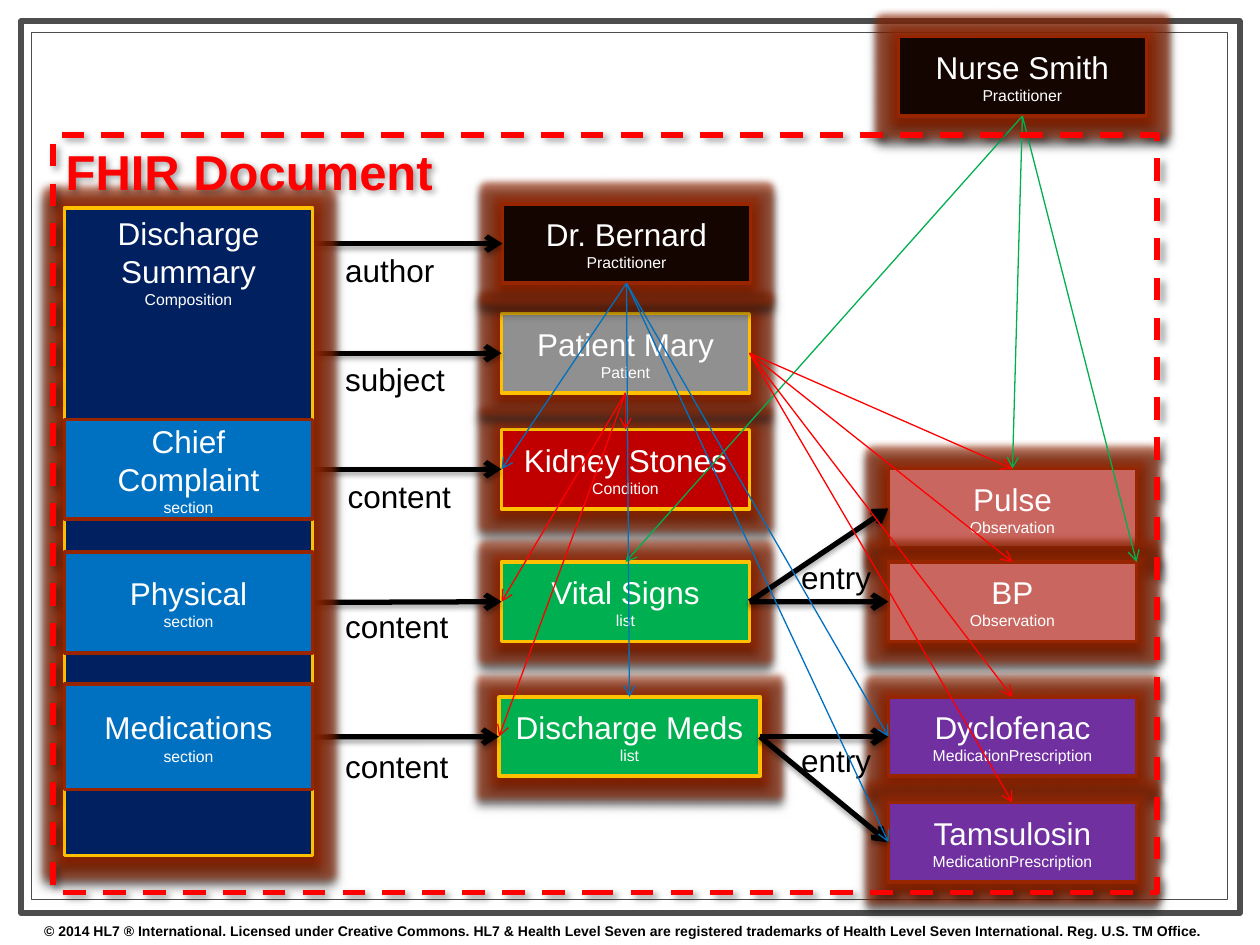
from dataclasses import dataclass

from lxml import etree
from pptx import Presentation
from pptx.dml.color import RGBColor
from pptx.enum import dml, shapes, text
from pptx.oxml import ns
from pptx.util import Cm, Pt

TOP, LEFT, BOTTOM, RIGHT = range(4)


@dataclass(frozen=True)
class Theme:
    """Colours, type sizes and effects of the slide."""
    font: str = "Arial"
    heading: float = 28
    name: float = 18
    kind: float = 9
    legal: float = 8
    white: str = "FFFFFF"
    black: str = "000000"
    border: str = "4D4D4D"
    rust: str = "972600"
    gold: str = "FFC000"
    navy: str = "002060"
    blue: str = "0070C0"
    red: str = "FF0000"
    crimson: str = "C00000"
    green: str = "00B050"
    grey: str = "909090"
    dark: str = "140500"
    rose: str = "C96660"
    purple: str = "7030A0"
    box_shadow: tuple = ("0D0D0D", 100, 4, 4, 90)
    link_shadow: tuple = (black, 35, 3.1, 1.8, 90)
    frame_shadow: tuple = (black, 40, 4, 3, 45)
    glow: tuple = (rust, 60, 8)


@dataclass(frozen=True)
class Box:
    """A rectangle in centimetres."""
    left: float
    top: float
    width: float
    height: float

    def inner(self, left, top, width, height):
        """Return a box placed relative to this one."""
        return Box(self.left + left, self.top + top, width, height)

    def lengths(self):
        """Return position and size as slide lengths."""
        return Cm(self.left), Cm(self.top), Cm(self.width), Cm(self.height)


THEME = Theme()


def rgb(colour):
    """Turn a hex string into a colour."""
    return RGBColor.from_string(colour)


def add_effects(item, shadow=None, glow=None):
    """Replace inherited effects by an optional glow and shadow."""
    effects = etree.SubElement(item.element.spPr, ns.qn("a:effectLst"))
    wanted = []
    if glow:
        wanted.append(("a:glow", glow[:2], {"rad": Pt(glow[2])}))
    if shadow:
        wanted.append(("a:outerShdw", shadow[:2], {
            "blurRad": Pt(shadow[2]), "dist": Pt(shadow[3]),
            "dir": shadow[4] * 60000, "rotWithShape": 0}))
    for tag, (colour, opacity), settings in wanted:
        effect = etree.SubElement(effects, ns.qn(tag), {k: str(v) for k, v in settings.items()})
        shade = etree.SubElement(effect, ns.qn("a:srgbClr"), val=colour)
        etree.SubElement(shade, ns.qn("a:alpha"), val=str(opacity * 1000))


def set_font(font, size, colour, bold=False):
    """Apply the theme font."""
    font.name, font.size, font.bold = THEME.font, Pt(size), bold
    font.color.rgb = rgb(colour)


def add_panel(slide, box, fill, line, weight=2, shadow=None, glow=None,
              preset=shapes.MSO_SHAPE.RECTANGLE):
    """Draw a filled and outlined rectangle."""
    panel = slide.shapes.add_shape(preset, *box.lengths())
    panel.fill.solid()
    panel.fill.fore_color.rgb = rgb(fill)
    panel.line.color.rgb = rgb(line)
    panel.line.width = Pt(weight)
    add_effects(panel, shadow, glow)
    return panel


def write_card(card, names, kind, anchor=text.MSO_ANCHOR.MIDDLE):
    """Write name lines with the small kind below them."""
    frame = card.text_frame
    frame.word_wrap = True
    frame.vertical_anchor = anchor
    for index, name in enumerate(names):
        paragraph = frame.add_paragraph() if index else frame.paragraphs[0]
        paragraph.alignment = text.PP_ALIGN.CENTER
        paragraph.add_run().text = name
        set_font(paragraph.font, THEME.name, THEME.white)
    paragraph.add_line_break()
    kind_run = paragraph.add_run()
    kind_run.text = kind
    kind_run.font.size = Pt(THEME.kind)


def add_resource(slide, box, name, kind, fill, line=THEME.rust):
    """Draw a glowing resource card."""
    card = add_panel(slide, box, fill, line, shadow=THEME.box_shadow, glow=THEME.glow)
    write_card(card, [name], kind)
    return card


def add_text(slide, box, words, size, bold=False):
    """Write one line of black text."""
    label = slide.shapes.add_textbox(*box.lengths())
    label.text_frame.word_wrap = True
    paragraph = label.text_frame.paragraphs[0]
    paragraph.text = words
    set_font(paragraph.font, size, THEME.black, bold)


def add_arrow(slide, colour, weight, start=(0, 0), end=(0, 0), source=None, target=None, shadow=None):
    """Draw an arrow between points or (card, side) joints."""
    arrow = slide.shapes.add_connector(
        shapes.MSO_CONNECTOR.STRAIGHT, *(Cm(value) for value in (*start, *end)))
    if source:
        arrow.begin_connect(*source)
    if target:
        arrow.end_connect(*target)
    arrow.line.color.rgb = rgb(colour)
    arrow.line.width = Pt(weight)
    outline = arrow.element.spPr.find(ns.qn("a:ln"))
    etree.SubElement(outline, ns.qn("a:tailEnd"), type="arrow")
    add_effects(arrow, shadow)
    return arrow


def add_page(slide, box):
    """Draw the double border and the copyright line."""
    add_panel(slide, box, THEME.white, THEME.border, 3.5)
    add_panel(slide, box.inner(0.21, 0.23, 24.1, 17.48), THEME.white, THEME.border, 0.75)
    add_text(slide, box.inner(0.21, 18.04, 24.76, 0.58),
             "© 2014 HL7 ® International. Licensed under Creative Commons. HL7 & Health Level Seven "
             "are registered trademarks of Health Level Seven International. Reg. U.S. TM Office.",
             THEME.legal, True)


def add_resources(slide, box):
    """Draw the middle column with its incoming labelled arrows."""
    rows = (
        ("Discharge Meds", "list", THEME.green, THEME.gold, -0.05, 9.94, 5.26, "content", -3.4, 10.83),
        ("Vital Signs", "list", THEME.green, THEME.gold, 0, 7.22, 5, "content", -3.4, 8.01),
        ("Kidney Stones", "Condition", THEME.crimson, THEME.gold, 0, 4.55, 5, "content", -3.35, 5.39),
        ("Patient Mary", "Patient", THEME.grey, THEME.gold, 0, 2.21, 5, "subject", -3.4, 3.03),
        ("Dr. Bernard", "Practitioner", THEME.dark, THEME.rust, 0.02, 0, 5, "author", -3.4, 0.82),
    )
    cards, links = {}, {}
    for name, kind, fill, line, left, top, width, role, label_left, label_top in rows:
        card = add_resource(slide, box.inner(left, top, width, 1.6), name, kind, fill, line)
        start = box.left - 3.81, box.top + top + 0.8
        links[name] = add_arrow(slide, THEME.black, 3, start, target=(card, LEFT),
                                shadow=THEME.link_shadow)
        add_text(slide, box.inner(label_left, label_top, 3.73, 1.02), role, THEME.name)
        cards[name] = card
    return cards, links


def add_entries(slide, box, source, kind, fill, entries, label_top):
    """Draw list entries with arrows from their list."""
    cards = {name: add_resource(slide, box.inner(0, top, box.width, 1.6), name, kind, fill)
             for name, top in entries}
    for card in cards.values():
        add_arrow(slide, THEME.black, 3, source=(source, RIGHT), target=(card, LEFT),
                  shadow=THEME.link_shadow)
    add_text(slide, box.inner(-2.01, label_top, 3.73, 1.02), "entry", THEME.name)
    return cards


def add_composition(slide, box, links):
    """Draw the composition, its sections and their joints."""
    composition = add_panel(slide, box, THEME.navy, THEME.gold,
                            shadow=THEME.box_shadow, glow=THEME.glow)
    write_card(composition, ["Discharge", "Summary"], "Composition", text.MSO_ANCHOR.TOP)
    sections = (("Chief Complaint", 4.27, 2, "Kidney Stones"),
                ("Physical", 6.94, 2.03, "Vital Signs"),
                ("Medications", 9.6, 2.13, "Discharge Meds"))
    for name, top, height, linked in sections:
        section = add_panel(slide, box.inner(0, top, box.width, height), THEME.blue, THEME.rust,
                            preset=shapes.MSO_SHAPE.FLOWCHART_PROCESS)
        write_card(section, [name], "section")
        links[linked].begin_connect(section, RIGHT)


def add_references(slide, colour, source, targets):
    """Draw thin arrows from one joint to several."""
    for target in targets:
        add_arrow(slide, colour, 0.75, source=source, target=target)


def add_document_frame(slide, box):
    """Turn the title into the dashed document frame."""
    title = slide.shapes.title
    title.left, title.top, title.width, title.height = box.lengths()
    title.fill.background()
    title.line.color.rgb = rgb(THEME.red)
    title.line.width = Pt(3.25)
    title.line.dash_style = dml.MSO_LINE.DASH
    add_effects(title, THEME.frame_shadow)
    frame = title.text_frame
    frame.word_wrap = True
    frame.auto_size = text.MSO_AUTO_SIZE.NONE
    frame.vertical_anchor = text.MSO_ANCHOR.TOP
    paragraph = frame.paragraphs[0]
    paragraph.text = "FHIR Document"
    paragraph.alignment = text.PP_ALIGN.LEFT
    set_font(paragraph.font, THEME.heading, THEME.red, True)
    title.element.getparent().append(title.element)


def main():
    """Build and save the slide."""
    deck = Presentation()
    deck.slide_width, deck.slide_height = Cm(25.4), Cm(19.05)
    slide = deck.slides.add_slide(deck.slide_layouts[5])
    add_page(slide, Box(0.43, 0.43, 24.56, 17.98))
    cards, links = add_resources(slide, Box(10.11, 4.11, 5, 11.54))
    cards |= add_entries(slide, Box(17.91, 14.05, 5, 3.73), cards["Discharge Meds"],
                         "MedicationPrescription", THEME.purple,
                         (("Dyclofenac", 0), ("Tamsulosin", 2.13)), 0.76)
    cards |= add_entries(slide, Box(17.91, 9.45, 5, 3.48), cards["Vital Signs"],
                         "Observation", THEME.rose, (("Pulse", 0), ("BP", 1.88)), 1.68)
    nurse = add_resource(slide, Box(18.11, 0.74, 5, 1.6), "Nurse Smith", "Practitioner", THEME.dark)
    add_references(slide, THEME.green, (nurse, BOTTOM),
                   [(cards[name], TOP) for name in ("Pulse", "Vital Signs")])
    add_arrow(slide, THEME.green, 0.75, end=(22.91, 11.33), source=(nurse, BOTTOM))
    add_references(slide, THEME.blue, (cards["Dr. Bernard"], BOTTOM),
                   [(cards[name], LEFT) for name in ("Kidney Stones", "Dyclofenac", "Tamsulosin")]
                   + [(cards["Discharge Meds"], TOP)])
    add_composition(slide, Box(1.3, 4.19, 5, 13.06), links)
    add_references(slide, THEME.red, (cards["Patient Mary"], RIGHT),
                   [(cards[name], TOP) for name in ("Pulse", "BP", "Dyclofenac", "Tamsulosin")])
    add_references(slide, THEME.red, (cards["Patient Mary"], BOTTOM),
                   [(cards["Kidney Stones"], TOP), (cards["Vital Signs"], LEFT),
                    (cards["Discharge Meds"], LEFT)])
    add_document_frame(slide, Box(1.07, 2.72, 22.25, 15.27))
    deck.save("out.pptx")


if __name__ == "__main__":
    main()
